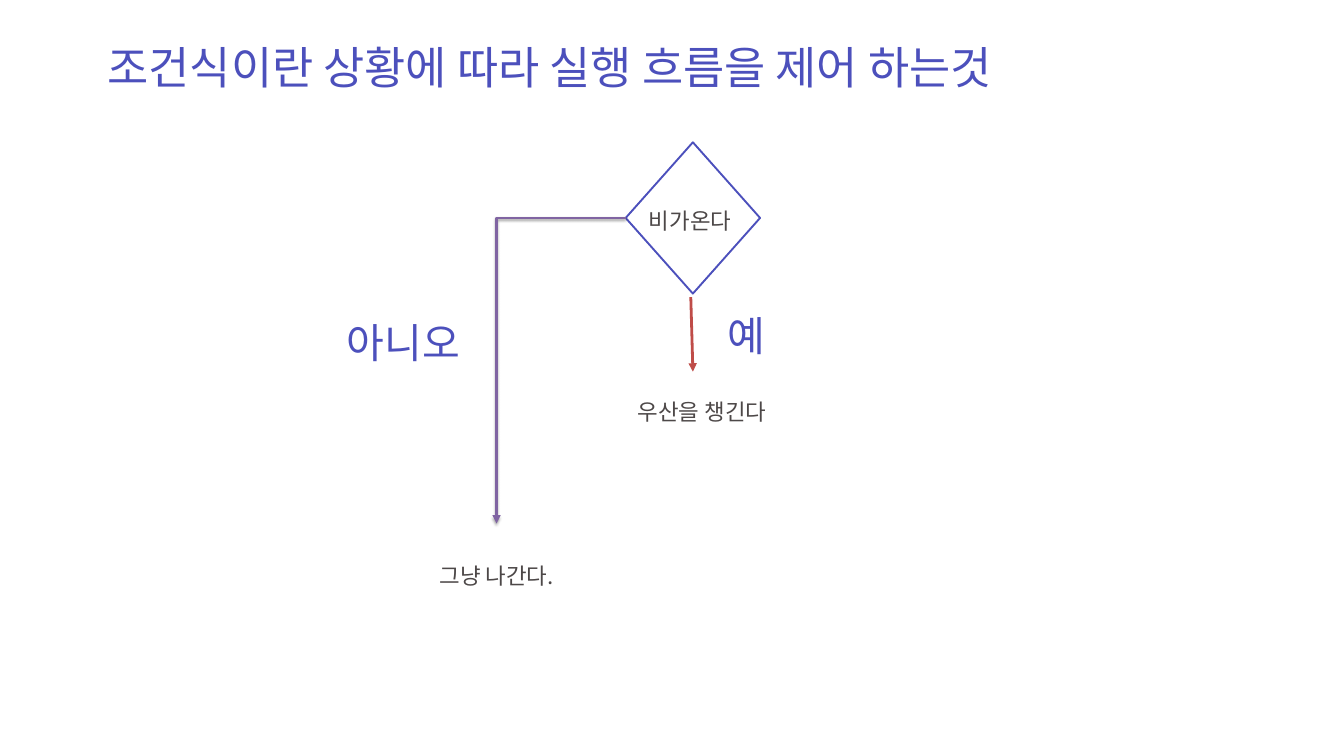
from lxml import etree
from pptx import Presentation
from pptx.dml.color import RGBColor
from pptx.enum import shapes, text
from pptx.oxml import ns
from pptx.util import Cm, Pt

FONT = "Noto Sans CJK KR"
BLUE, GREY = "4C50BC", "4D4848"


def rgb(code):
    return RGBColor.from_string(code)


def write(box, words, size=24, color=GREY, wrap=False):
    frame = box.text_frame
    frame.word_wrap = wrap
    frame.auto_size = text.MSO_AUTO_SIZE.NONE
    frame.vertical_anchor = text.MSO_ANCHOR.TOP
    para = frame.paragraphs[0]
    para.alignment = text.PP_ALIGN.LEFT
    run = para.add_run()
    run.text = words
    run.font.name, run.font.size = FONT, Pt(size)
    run.font.color.rgb = rgb(color)
    east = etree.SubElement(run.font._element, ns.qn("a:ea"))
    east.set("typeface", FONT)


deck = Presentation()
deck.slide_width, deck.slide_height = Cm(50.8), Cm(28.58)
slide = deck.slides.add_slide(deck.slide_layouts[5])

# Title
title = slide.shapes.title
title.left, title.top = Cm(3.81), Cm(1.37)
title.width, title.height = Cm(38.94), Cm(2.31)
write(title, "조건식이란 상황에 따라 실행 흐름을 제어 하는것", size=48, color=BLUE, wrap=True)

# Decision diamond
test = slide.shapes.add_shape(
    shapes.MSO_SHAPE.DIAMOND, Cm(23.65), Cm(5.38), Cm(5.08), Cm(5.72))
test.shadow.inherit = False
test.fill.background()
test.line.color.rgb = rgb(BLUE)
test.line.width = Pt(2)

# Branch arrows: "no" bends left and down, "yes" goes down
kinds = shapes.MSO_CONNECTOR
no = slide.shapes.add_connector(kinds.ELBOW, Cm(23.65), Cm(8.24), Cm(18.77), Cm(19.79))
no.begin_connect(test, 1)
no._element.spPr.find(ns.qn("a:prstGeom")).set("prst", "bentConnector2")
yes = slide.shapes.add_connector(kinds.STRAIGHT, Cm(26.11), Cm(11.23), Cm(26.19), Cm(14.05))

for arrow, color in ((no, "8064A2"), (yes, "BF4C48")):
    arrow.line.color.rgb = rgb(color)
    arrow.line.width = Pt(3)
    props = arrow._element.spPr
    etree.SubElement(props.find(ns.qn("a:ln")), ns.qn("a:tailEnd"), type="triangle")
    glow = etree.SubElement(props, ns.qn("a:effectLst"))
    if arrow is no:
        shade = etree.SubElement(
            glow, ns.qn("a:outerShdw"), blurRad=str(Pt(3.1)), dist=str(Pt(1.8)),
            dir="5400000", rotWithShape="0")
        black = etree.SubElement(shade, ns.qn("a:srgbClr"), val="000000")
        etree.SubElement(black, ns.qn("a:alpha"), val="35000")

# Steps and branch labels
step = dict(size=24, color=GREY, wrap=False)
label = dict(size=44, color=BLUE, wrap=True)
for words, left, top, width, height, style in (
    ("비가온다", 24.28, 7.7, 3.81, 1.27, step),
    ("아니오", 12.85, 11.89, 5.66, 2.13, label),
    ("예", 27.25, 11.63, 2.97, 2.13, label),
    ("우산을 챙긴다", 23.85, 14.94, 5.69, 1.27, step),
    ("그냥 나간다.", 16.36, 21.13, 5.08, 1.27, step),
):
    box = slide.shapes.add_textbox(Cm(left), Cm(top), Cm(width), Cm(height))
    write(box, words, **style)

deck.save("out.pptx")
